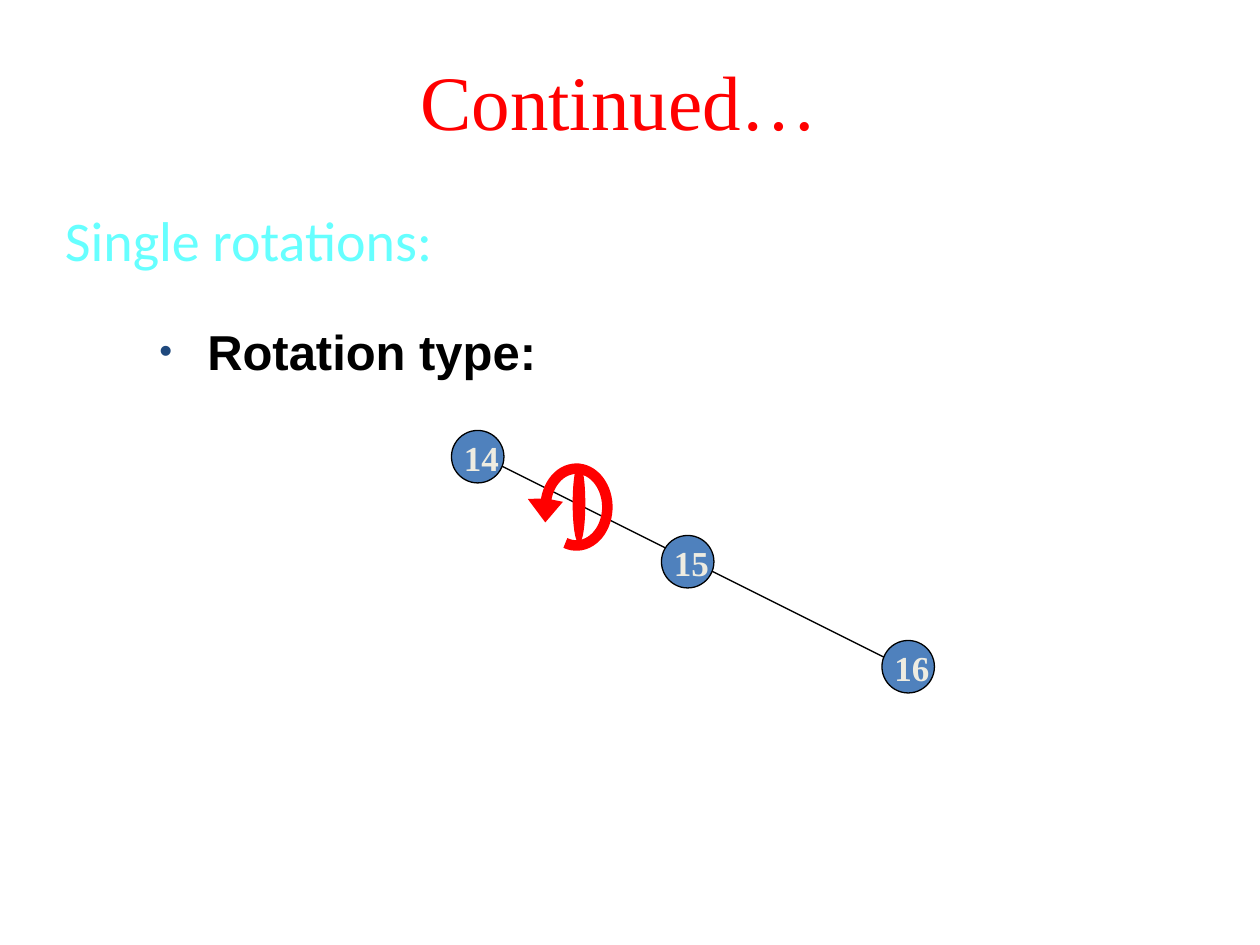
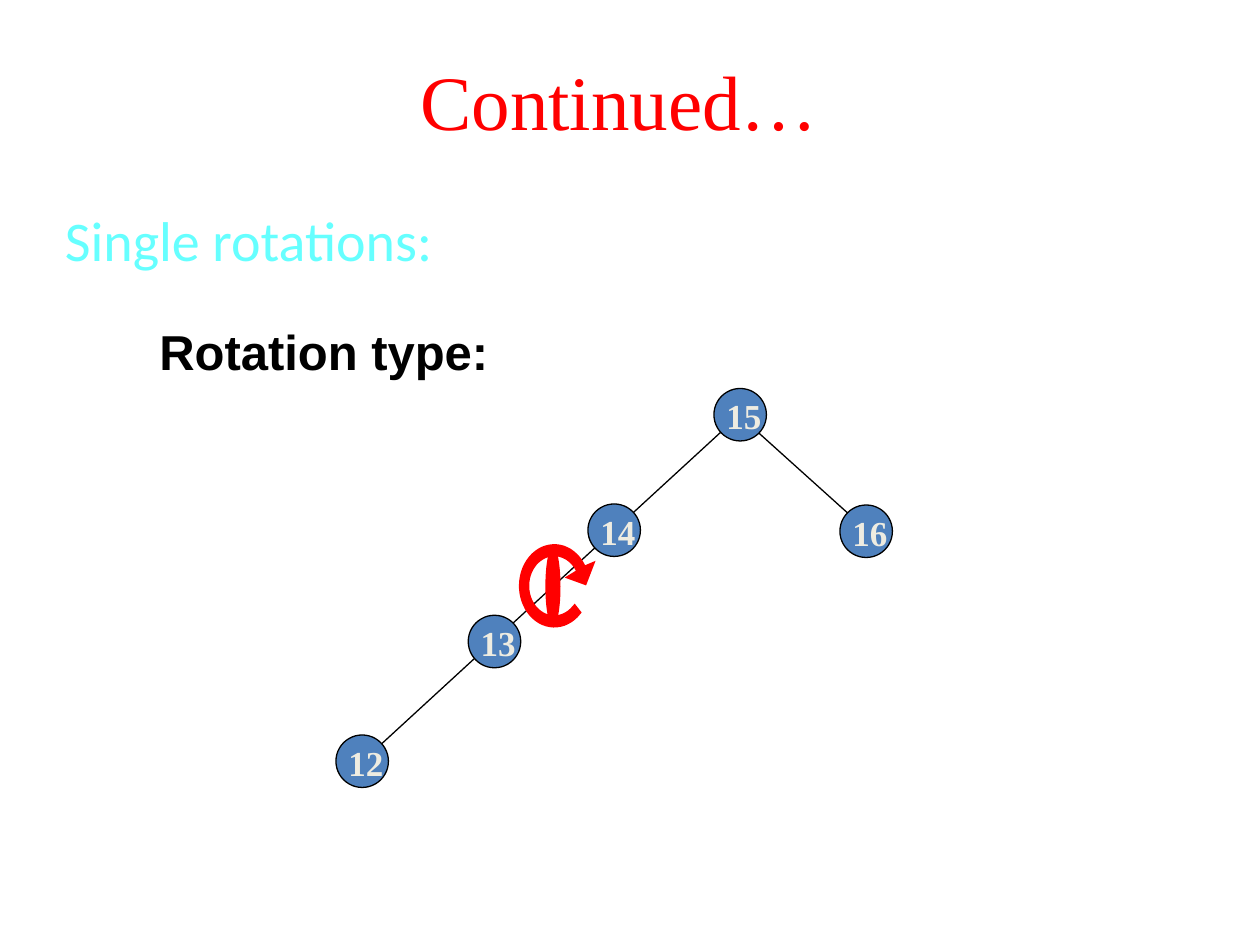
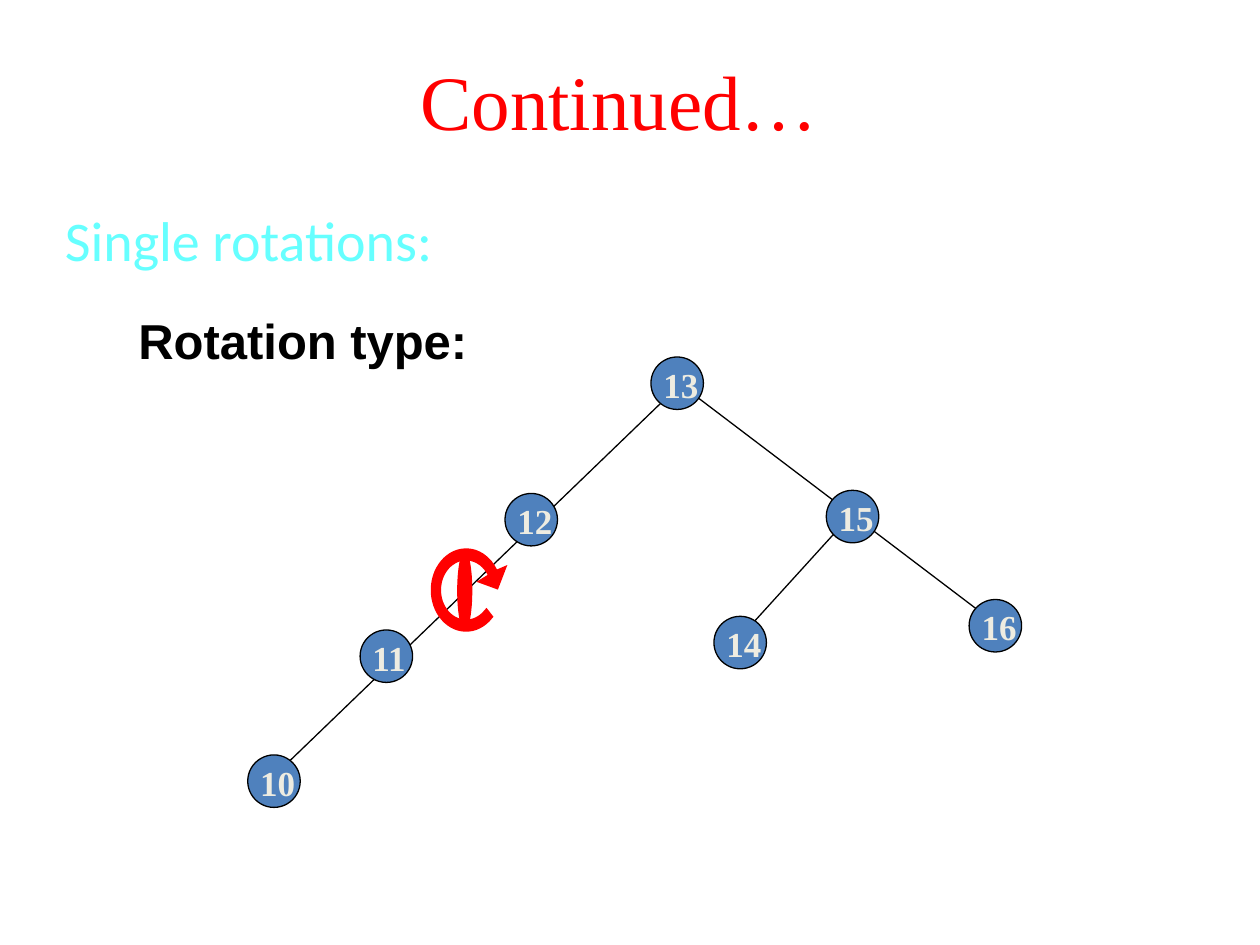
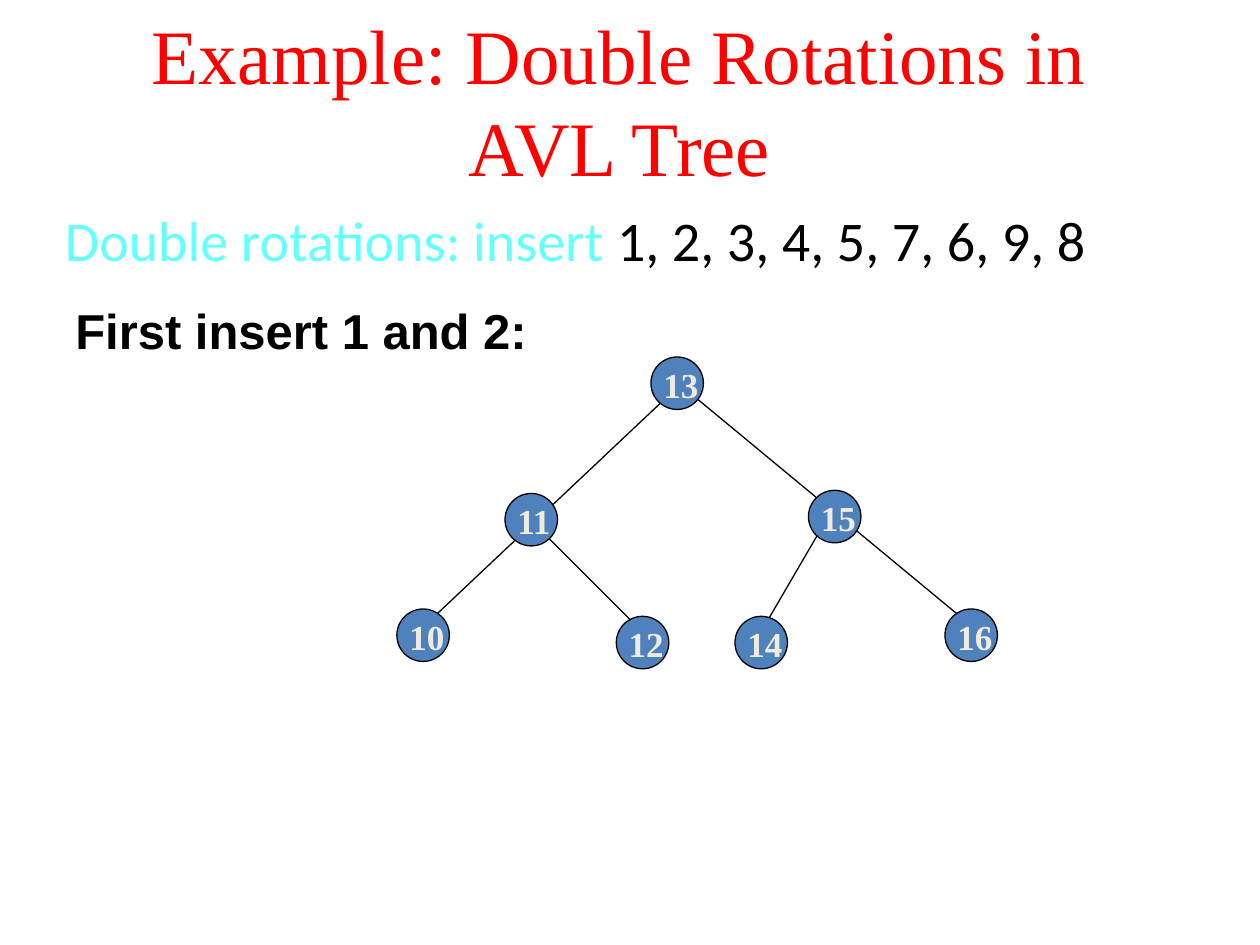
from dataclasses import dataclass
from math import cos, radians, sin

from lxml import etree
from pptx import Presentation
from pptx.dml.color import RGBColor
from pptx.enum.shapes import MSO_CONNECTOR, MSO_SHAPE
from pptx.enum.text import MSO_ANCHOR, MSO_AUTO_SIZE, PP_ALIGN
from pptx.oxml.ns import qn
from pptx.util import Inches, Pt

LINE = MSO_CONNECTOR.STRAIGHT
OVAL = MSO_SHAPE.OVAL
MIDDLE, TOP = MSO_ANCHOR.MIDDLE, MSO_ANCHOR.TOP
GROW, FIXED = MSO_AUTO_SIZE.SHAPE_TO_FIT_TEXT, MSO_AUTO_SIZE.NONE
CENTER, LEFT = PP_ALIGN.CENTER, PP_ALIGN.LEFT

# The slide is a grid of 120 columns and 90 rows of square cells
WIDTH, HEIGHT = Inches(10), Inches(7.5)
CELL = WIDTH // 120
HANG = Inches(0.38)


@dataclass(frozen=True)
class Theme:
    red: str = "FF0000"
    cyan: str = "66FFFF"
    black: str = "000000"
    node: str = "4F81BD"
    bullet: str = "1F497D"
    label: str = "EEECE1"
    thin: float = 0.75

    def title(self):
        return dict(name="Times New Roman", size=44, color=self.red)

    def topic(self):
        return dict(name="Calibri", size=32, color=self.cyan)

    def heading(self):
        return dict(name="Arial", size=28, color=self.black, bold=True)

    def key(self):
        return dict(name="Times New Roman", size=20, color=self.label, bold=True)


T = Theme()
TITLE_BOX = (8, 2, 102, 15)
TOPIC_BOX = (5, 19, 112, 8)
TREE_BOX = (20, 30, 80, 50)
NODE = 5              # node diameter in cells
KEY_SIZE = (6, 5.3)   # box of a node's key

# Rotation arrows in cells around their centre: radii, angles, head, axle
LEFT_TURN = dict(outer=(2.94, 3.66), inner=(2.94, 3.66), tail=471, tip=185,
                 head=[(-3.66, -0.3), (-2.94, 0.66), (-2.22, -0.18)],
                 axle=(-0.3, -4, 1.08, 7.32), weight=6)
RIGHT_TURN = dict(outer=(3.12, 3.72), inner=(2.64, 3.06), tail=-317, tip=-26,
                  head=[(3.48, -1.92), (2.88, -0.36), (1.56, -0.84)],
                  axle=(-0.8, -3.6, 1.32, 7.32), weight=3)


def cells(*values):
    return [round(v * CELL) for v in values]


def style_font(font, values):
    values = dict(values)
    font.color.rgb = RGBColor.from_string(values.pop("color"))
    font.size = Pt(values.pop("size"))
    for name, value in values.items():
        setattr(font, name, value)


def paint(sp, fill, line, weight=T.thin):
    sp.shadow.inherit = False
    sp.fill.solid()
    sp.fill.fore_color.rgb = RGBColor.from_string(fill)
    sp.line.color.rgb = RGBColor.from_string(line)
    sp.line.width = Pt(weight)


def add_text(s, box, runs, align=LEFT, anchor=TOP, auto_size=FIXED, hang=False):
    tf = s.shapes.add_textbox(*cells(*box)).text_frame
    for name, value in dict(word_wrap=True, auto_size=auto_size,
                            vertical_anchor=anchor).items():
        setattr(tf, name, value)
    p = tf.paragraphs[0]
    p.alignment = align
    if hang:
        pPr = p._p.get_or_add_pPr()
        pPr.set("marL", str(HANG))
        pPr.set("indent", str(-HANG))
    for text, font in runs:
        r = p.add_run()
        r.text = text
        style_font(r.font, font)
    return p


def add_bullet(p):
    pPr = p._p.get_or_add_pPr()
    color = etree.SubElement(pPr, qn("a:buClr"))
    etree.SubElement(color, qn("a:srgbClr"), val=T.bullet)
    etree.SubElement(pPr, qn("a:buSzPct"), val="75000")
    etree.SubElement(pPr, qn("a:buFont"), typeface="Arial")
    etree.SubElement(pPr, qn("a:buChar"), char="•")


def add_edge(s, box, start, end):
    x, y = box[:2]
    cx = s.shapes.add_connector(LINE, *cells(x + start[0], y + start[1],
                                             x + end[0], y + end[1]))
    cx.line.color.rgb = RGBColor.from_string(T.black)
    cx.line.width = Pt(T.thin)
    etree.SubElement(cx._element.spPr, qn("a:effectLst"))


def add_node(s, box, key, col, row):
    x, y = box[0] + col, box[1] + row
    sp = s.shapes.add_shape(OVAL, *cells(x, y, NODE, NODE))
    paint(sp, T.node, T.black)
    add_text(s, (x, y, *KEY_SIZE), [(str(key), T.key())], auto_size=GROW)


def arc(radii, start, end, steps=48):
    angles = [radians(start + (end - start) * i / steps) for i in range(steps + 1)]
    return [(radii[0] * cos(a), radii[1] * sin(a)) for a in angles]


def add_turn(s, box, turn, col, row):
    x, y = box[0] + col, box[1] + row
    outline = (arc(turn["outer"], turn["tail"], turn["tip"]) + turn["head"]
               + arc(turn["inner"], turn["tip"], turn["tail"]))
    points = [cells(x + dx, y + dy) for dx, dy in outline]
    builder = s.shapes.build_freeform(*points[0])
    builder.add_line_segments(points[1:], close=True)
    sp = builder.convert_to_shape()
    paint(sp, T.red, T.red, turn["weight"])
    etree.SubElement(sp.line._get_or_add_ln(), qn("a:miter"), lim="800000")
    # Axle the arrow turns about
    dx, dy, w, h = turn["axle"]
    axle = s.shapes.add_shape(OVAL, *cells(x + dx, y + dy, w, h))
    paint(axle, T.red, T.red)


def add_tree(s, box, nodes, edges, turn=None):
    for start, end in edges:
        add_edge(s, box, start, end)
    for key, (col, row) in nodes.items():
        add_node(s, box, key, col, row)
    if turn:
        add_turn(s, box, *turn)


def add_slide(prs, title, topic, heading, heading_box, tree, bullet=False):
    s = prs.slides.add_slide(prs.slide_layouts[6])
    add_text(s, TITLE_BOX, [(title, T.title())], align=CENTER, anchor=MIDDLE)
    add_text(s, TOPIC_BOX, topic, hang=True)
    p = add_text(s, heading_box, [(heading, T.heading())], hang=bullet)
    if bullet:
        add_bullet(p)
    add_tree(s, TREE_BOX, **tree)


# Trees: node corners and edge ends in cells from the corner of the tree box
RIGHT_CHAIN = dict(
    nodes={14: (23, 11), 15: (43, 21), 16: (64, 31)},
    edges=[((25, 13), (67, 34))],
    turn=(LEFT_TURN, 34.9, 18.3))
LEFT_CHAIN = dict(
    nodes={14: (36, 18), 15: (48, 7), 16: (60, 18.1), 13: (24.6, 28.6),
           12: (12, 40)},
    edges=[((14, 43), (51, 9)), ((52, 11), (62, 20))],
    turn=(RIGHT_TURN, 32.8, 25.8))
DEEP_LEFT = dict(
    nodes={13: (42, 4), 15: (58.7, 16.7), 16: (72.3, 27.1), 12: (28.1, 17),
           14: (48, 28.7), 11: (14.3, 30), 10: (3.6, 41.9)},
    edges=[((61.1, 19), (51.2, 29.9)), ((6, 44), (44.7, 6.7)),
           ((44, 6), (73, 28))],
    turn=(RIGHT_TURN, 24.4, 26.2))
BALANCED = dict(
    nodes={13: (42, 4), 15: (57, 16.7), 16: (70, 28), 11: (28.1, 17),
           14: (50, 28.7), 10: (17.8, 28), 12: (38.7, 28.7)},
    edges=[((30, 19), (42, 31)), ((59, 19), (52, 31)),
           ((20, 30), (44.7, 6.7)), ((44, 6), (73, 30))])


def main():
    prs = Presentation()
    prs.slide_width, prs.slide_height = WIDTH, HEIGHT

    # Single rotations
    single = [("Single rotations:", T.topic())]
    for heading_box, tree, bullet in [((14, 30, 98, 8), RIGHT_CHAIN, True),
                                      ((14, 30, 66, 8), LEFT_CHAIN, False),
                                      ((12, 29, 44, 8), DEEP_LEFT, False)]:
        add_slide(prs, "Continued…", single, "Rotation type:", heading_box,
                  tree, bullet)

    # Double rotations
    double = [("Double rotations: insert ", T.topic()),
              ("1, 2, 3, 4, 5, 7, 6, 9, 8", {**T.topic(), "color": T.black})]
    add_slide(prs, "Example: Double Rotations in AVL Tree", double,
              "First insert 1 and 2:", (6, 28, 48, 8), BALANCED)

    prs.save("out.pptx")


if __name__ == "__main__":
    main()
